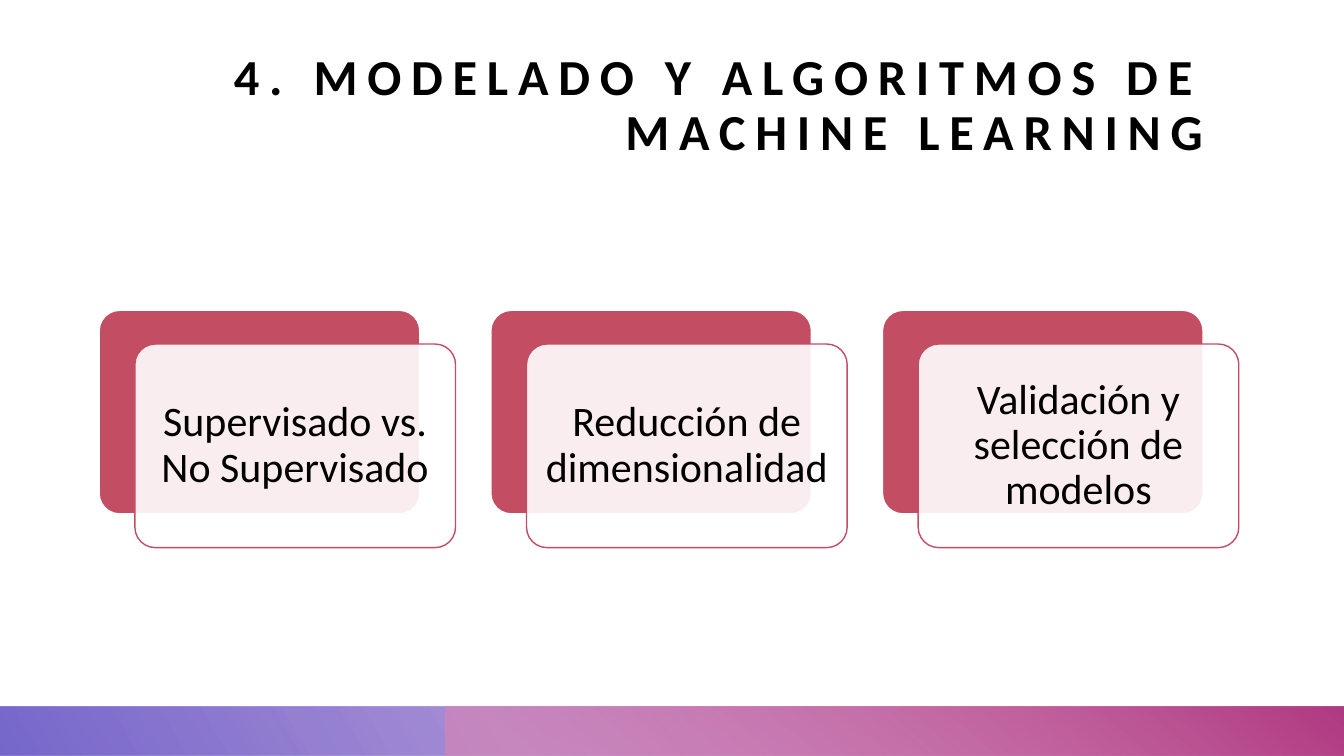
from dataclasses import dataclass

from pptx import Presentation
from pptx.dml.color import RGBColor
from pptx.enum.shapes import MSO_SHAPE
from pptx.enum.text import MSO_ANCHOR, PP_ALIGN
from pptx.oxml.ns import qn
from pptx.oxml.xmlchemy import OxmlElement
from pptx.util import Cm, Pt

RECTANGLE = MSO_SHAPE.RECTANGLE
ROUNDED = MSO_SHAPE.ROUNDED_RECTANGLE
MIDDLE, BOTTOM = MSO_ANCHOR.MIDDLE, MSO_ANCHOR.BOTTOM
CENTER, RIGHT = PP_ALIGN.CENTER, PP_ALIGN.RIGHT


@dataclass(frozen=True)
class Theme:
    font: str = "Calibri"
    text: str = "000000"
    white: str = "FFFFFF"
    accent: str = "C34D63"
    title_size: int = 36
    card_size: int = 30
    title_spacing: int = 7
    # Gradient stops: position, colour, opacity in percent
    violet: tuple = ((0.14, "7E3BB1", 28), (1, "5E4DC3", 85))
    pink: tuple = ((0.09, "D684B5", 68), (0.99, "B13B82", 100))


THEME = Theme()
SLIDE_WIDTH, SLIDE_HEIGHT = 33.87, 19.05
TITLE = "4. MODELADO Y ALGORITMOS DE MACHINE LEARNING"
TOPICS = (
    "Supervisado vs. No Supervisado",
    "Reducción de dimensionalidad",
    "Validación y selección de modelos",
)
CARD_LEFT, CARD_TOP, CARD_STEP = 2.5, 7.82, 9.87
CARD_WIDTH, CARD_HEIGHT = 8.08, 5.13
CARD_SHIFT_X, CARD_SHIFT_Y = 0.9, 0.85
BAR_TOP, PINK_LEFT = 17.8, 11.22


def set_opacity(color_element, percent):
    alpha = OxmlElement("a:alpha")
    alpha.set("val", str(percent * 1000))
    color_element.append(alpha)


def add_gradient_bar(slide, left, stops, angle):
    shape = slide.shapes.add_shape(
        RECTANGLE, Cm(left), Cm(BAR_TOP),
        Cm(SLIDE_WIDTH - left), Cm(SLIDE_HEIGHT - BAR_TOP))
    shape.shadow.inherit = False
    shape.line.fill.background()
    shape.fill.gradient()
    shape.fill.gradient_angle = angle
    for stop, (position, color, _) in zip(shape.fill.gradient_stops, stops):
        stop.position = position
        stop.color.rgb = RGBColor.from_string(color)
    colors = shape._element.spPr.iter(qn("a:srgbClr"))
    for color_element, (_, _, opacity) in zip(list(colors), stops):
        set_opacity(color_element, opacity)


def add_card(slide, left, top, fill, line):
    shape = slide.shapes.add_shape(
        ROUNDED, Cm(left), Cm(top), Cm(CARD_WIDTH), Cm(CARD_HEIGHT))
    shape.adjustments[0] = 0.1
    shape.shadow.inherit = False
    shape.fill.solid()
    shape.fill.fore_color.rgb = RGBColor.from_string(fill)
    shape.line.color.rgb = RGBColor.from_string(line)
    shape.line.width = Pt(1)
    return shape


def write_text(shape, text, size, alignment, anchor, inset, bold=False):
    frame = shape.text_frame
    frame.word_wrap = True
    frame.vertical_anchor = anchor
    frame.margin_left = frame.margin_right = Cm(inset)
    frame.margin_top = frame.margin_bottom = Cm(inset)
    paragraph = frame.paragraphs[0]
    paragraph.text = text
    paragraph.alignment = alignment
    paragraph.line_spacing = 0.9
    paragraph.font.name = THEME.font
    paragraph.font.size = Pt(size)
    paragraph.font.bold = bold
    paragraph.font.color.rgb = RGBColor.from_string(THEME.text)
    return paragraph


def add_title(slide):
    shape = slide.shapes.add_textbox(Cm(3.81), Cm(1.27), Cm(26.52), Cm(2.79))
    paragraph = write_text(
        shape, TITLE, THEME.title_size, RIGHT, BOTTOM, 0, bold=True)
    properties = paragraph.runs[0]._r.get_or_add_rPr()
    properties.set("spc", str(THEME.title_spacing * 100))


def add_topic(slide, left, text):
    add_card(slide, left, CARD_TOP, THEME.accent, THEME.white)
    front = add_card(slide, left + CARD_SHIFT_X, CARD_TOP + CARD_SHIFT_Y,
                     THEME.white, THEME.accent)
    set_opacity(front._element.spPr.find(f"{qn('a:solidFill')}/{qn('a:srgbClr')}"), 90)
    write_text(front, text, THEME.card_size, CENTER, MIDDLE, 0.28)


def main():
    presentation = Presentation()
    presentation.slide_width = Cm(SLIDE_WIDTH)
    presentation.slide_height = Cm(SLIDE_HEIGHT)
    slide = presentation.slides.add_slide(presentation.slide_layouts[6])

    # Title
    add_title(slide)

    # Footer band
    add_gradient_bar(slide, 0, THEME.violet, 210)
    add_gradient_bar(slide, PINK_LEFT, THEME.pink, 50)

    # Topic cards
    for index, topic in enumerate(TOPICS):
        add_topic(slide, CARD_LEFT + index * CARD_STEP, topic)

    presentation.save("out.pptx")


if __name__ == "__main__":
    main()
